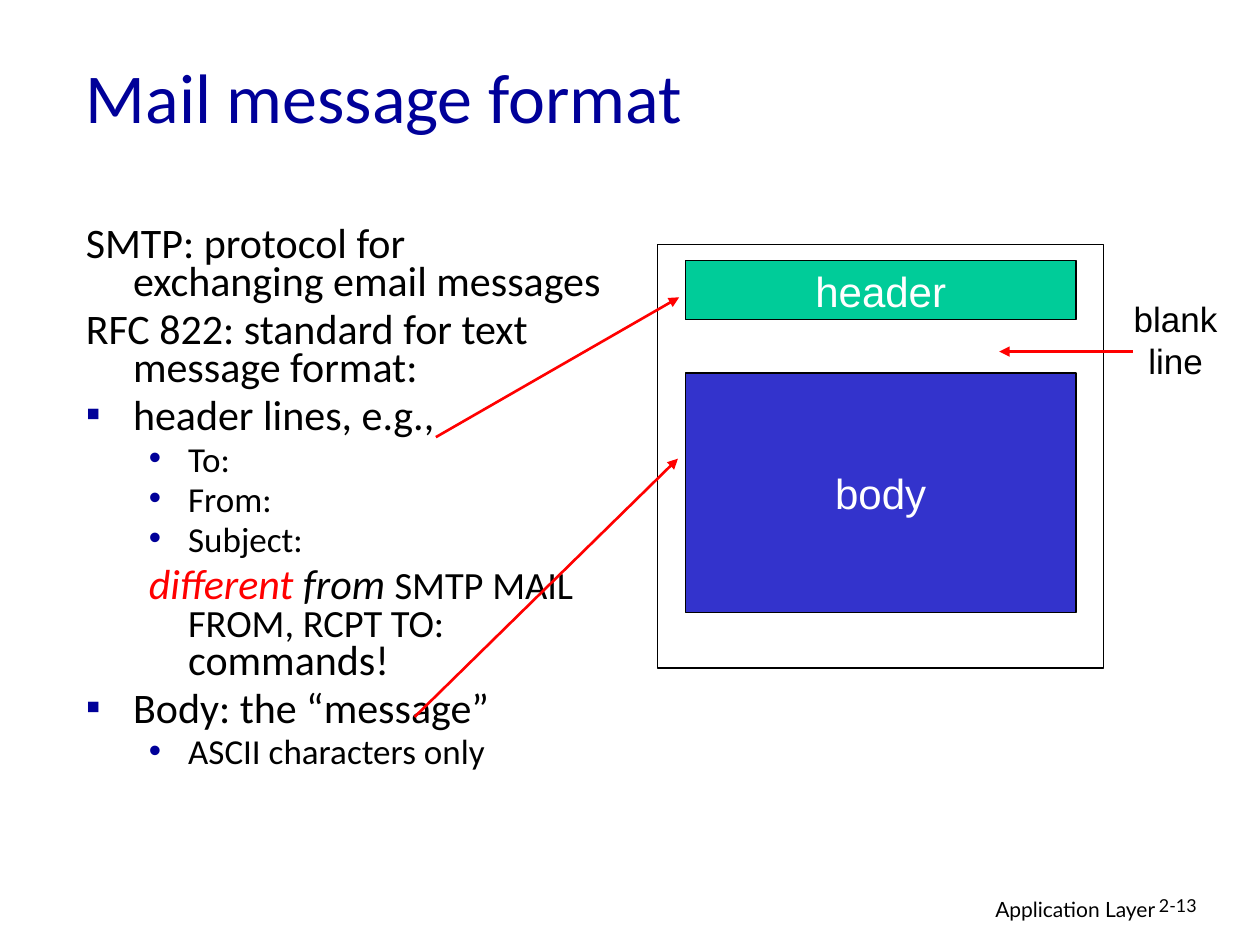
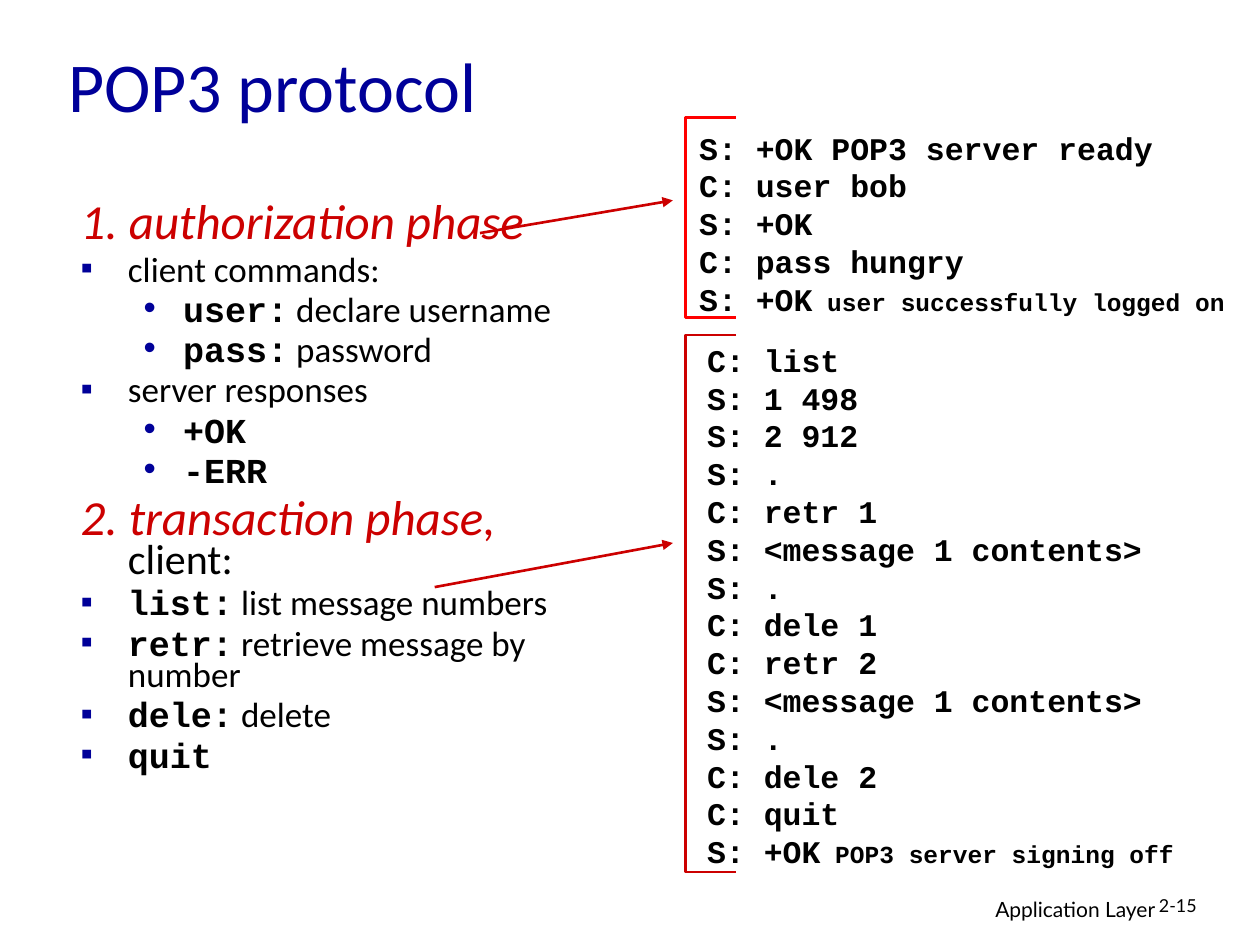
from dataclasses import dataclass
from typing import Optional

from lxml.etree import SubElement
from pptx import Presentation
from pptx.dml.color import RGBColor
from pptx.enum.shapes import MSO_CONNECTOR as CONN, MSO_SHAPE as SHAPE
from pptx.enum.text import MSO_ANCHOR as ANCHOR, MSO_AUTO_SIZE as AUTO, PP_ALIGN as ALIGN
from pptx.oxml.ns import qn
from pptx.util import Pt

NAVY, BLACK, WHITE = "000099", "000000", "FFFFFF"
RED, CRIMSON, GREEN, BLUE = "FF0000", "CC0000", "00CC99", "3333CC"
SANS, MONO, BOX_FONT, FOOTER_FONT = "Calibri", "Courier New", "Arial", "Lato"
INSETS = (7.2, 3.6, 7.2, 3.6)
DIALOG_PITCH = 21.6


@dataclass(frozen=True)
class Run:
    text: str
    size: float = 20
    color: str = BLACK
    font: str = SANS
    bold: bool = False
    italic: bool = False


@dataclass(frozen=True)
class Level:
    depth: int
    margin: float
    hang: float
    bullet: Optional[str] = None


@dataclass(frozen=True)
class Item:
    level: Level
    runs: tuple[Run, ...]
    before: float = 5


@dataclass(frozen=True)
class Box:
    left: float
    top: float
    width: float
    height: float

    def lengths(self) -> tuple:
        return Pt(self.left), Pt(self.top), Pt(self.width), Pt(self.height)


@dataclass(frozen=True)
class Arrow:
    start: tuple[float, float]
    end: tuple[float, float]
    color: str


@dataclass(frozen=True)
class Bracket:
    top: float
    bottom: float
    color: str
    left: float = 391.7
    arm: float = 29


PLAIN = Level(0, 27, -27)
SQUARE = Level(0, 27, -27, "▪")
DOT = Level(1, 58.5, -22.5, "•")
SUBTEXT = Level(1, 58.5, -22.5)


def rgb(color: str) -> RGBColor:
    return RGBColor.from_string(color)


def code(text: str, size: float = 20) -> Run:
    return Run(text, size, font=MONO, bold=True)


def command(level: Level, name: str, meaning: str = "") -> Item:
    runs = (code(name), Run(f" {meaning}")) if meaning else (code(name),)
    return Item(level, runs)


def add_run(p, run: Run) -> None:
    r = p.add_run()
    r.text = run.text
    f = r.font
    f.name, f.size, f.bold, f.italic = run.font, Pt(run.size), run.bold, run.italic
    f.color.rgb = rgb(run.color)


def format_frame(tf, anchor=ANCHOR.TOP) -> None:
    tf.auto_size = AUTO.NONE
    tf.word_wrap = True
    tf.vertical_anchor = anchor
    tf.margin_left, tf.margin_top, tf.margin_right, tf.margin_bottom = map(Pt, INSETS)


def write_lines(tf, lines: list[tuple[Run, ...]], align=ALIGN.LEFT, spacing=None) -> None:
    for i, runs in enumerate(lines):
        p = tf.add_paragraph() if i else tf.paragraphs[0]
        p.alignment = align
        p.line_spacing = spacing
        for run in runs:
            add_run(p, run)


def add_text(slide, box: Box, lines: list[tuple[Run, ...]], align=ALIGN.LEFT, spacing=None) -> None:
    tf = slide.shapes.add_textbox(*box.lengths()).text_frame
    format_frame(tf)
    write_lines(tf, lines, align, spacing)


def place(sp, box: Box) -> None:
    sp.left, sp.top, sp.width, sp.height = box.lengths()


def format_level(p, level: Level) -> None:
    p.level = level.depth
    pPr = p._p.get_or_add_pPr()
    pPr.set("marL", str(Pt(level.margin)))
    pPr.set("indent", str(Pt(level.hang)))
    if level.bullet is None:
        SubElement(pPr, qn("a:buNone"))
        return
    SubElement(SubElement(pPr, qn("a:buClr")), qn("a:srgbClr"), val=NAVY)
    SubElement(pPr, qn("a:buFont"), typeface=BOX_FONT)
    SubElement(pPr, qn("a:buChar"), char=level.bullet)


def fill_list(sp, box: Box, items: list[Item]) -> None:
    place(sp, box)
    tf = sp.text_frame
    format_frame(tf)
    for i, item in enumerate(items):
        p = tf.add_paragraph() if i else tf.paragraphs[0]
        p.alignment = ALIGN.LEFT
        p.line_spacing = 0.75
        p.space_before = Pt(item.before)
        format_level(p, item.level)
        for run in item.runs:
            add_run(p, run)


def add_page(prs, title: str, title_box: Box, body_box: Box, items: list[Item], number: str):
    slide = prs.slides.add_slide(prs.slide_layouts[1])
    add_text(slide, Box(439.2, 509, 228.2, 22.3), [(Run("Application Layer", 12, font=FOOTER_FONT),)],
             ALIGN.RIGHT)
    add_text(slide, Box(655.2, 509, 53.3, 21.6), [(Run(number, 10.2, font=FOOTER_FONT),)], spacing=0.9)
    sp = slide.shapes.title
    place(sp, title_box)
    format_frame(sp.text_frame, ANCHOR.MIDDLE)
    write_lines(sp.text_frame, [(Run(title, 40, NAVY),)])
    fill_list(slide.placeholders[1], body_box, items)
    return slide


def add_rect(slide, box: Box, weight: float, fill: Optional[str] = None, label: str = "") -> None:
    sp = slide.shapes.add_shape(SHAPE.RECTANGLE, *box.lengths())
    sp.shadow.inherit = False
    sp.line.color.rgb = rgb(BLACK)
    sp.line.width = Pt(weight)
    if fill:
        sp.fill.solid()
        sp.fill.fore_color.rgb = rgb(fill)
    else:
        sp.fill.background()
    if label:
        format_frame(sp.text_frame, ANCHOR.MIDDLE)
        write_lines(sp.text_frame, [(Run(label, 24, WHITE, BOX_FONT),)], ALIGN.CENTER)


def add_arrow(slide, arrow: Arrow) -> None:
    c = slide.shapes.add_connector(CONN.STRAIGHT, *map(Pt, arrow.start + arrow.end))
    c.line.color.rgb = rgb(arrow.color)
    c.line.width = Pt(1.5)
    SubElement(c.line._get_or_add_ln(), qn("a:tailEnd"), type="triangle")
    SubElement(c._element.spPr, qn("a:effectLst"))


def add_bracket(slide, b: Bracket) -> None:
    right = Pt(b.left + b.arm)
    builder = slide.shapes.build_freeform(right, Pt(b.top), scale=1.0)
    builder.add_line_segments(
        [(Pt(b.left), Pt(b.top)), (Pt(b.left), Pt(b.bottom)), (right, Pt(b.bottom))], close=False)
    sp = builder.convert_to_shape()
    sp.shadow.inherit = False
    sp.fill.background()
    sp.line.color.rgb = rgb(b.color)
    sp.line.width = Pt(1.5)


def add_dialog(slide, box: Box, lines: list[str], last: tuple[str, str]) -> None:
    rows = [(code(line, 18),) for line in lines]
    rows.append((code(last[0], 18), code(f" {last[1]}", 14)))
    add_text(slide, box, rows, spacing=Pt(DIALOG_PITCH))


def build_mail_format(prs) -> None:
    items = [
        Item(PLAIN, (Run("SMTP: protocol for exchanging email messages", 24),), 6),
        Item(PLAIN, (Run("RFC 822: standard for text message format:", 24),), 6),
        Item(SQUARE, (Run("header lines, e.g.,", 24),), 6),
        *[Item(DOT, (Run(field),)) for field in ("To:", "From:", "Subject:")],
        Item(SUBTEXT, (Run("different ", 24, RED, italic=True), Run("from ", 24, italic=True),
                       Run("SMTP MAIL FROM, RCPT TO:", 22), Run(" commands!", 24)), 6),
        Item(SQUARE, (Run("Body: the “message”", 24),), 6),
        Item(DOT, (Run("ASCII characters only"),)),
    ]
    slide = add_page(prs, "Mail message format", Box(41.8, 9.4, 612, 90),
                     Box(41.8, 126.7, 308.9, 365.8), items, "2-13")
    add_rect(slide, Box(391.7, 149, 223.2, 33.8), 0.75, GREEN, "header")
    add_rect(slide, Box(391.7, 213.1, 223.2, 136.8), 0.75, BLUE, "body")
    add_rect(slide, Box(375.8, 139.7, 254.9, 241.9), 1)
    add_text(slide, Box(635.8, 166.3, 72, 55.4),
             [(Run(word, 20, font=BOX_FONT),) for word in ("blank", "line")], ALIGN.CENTER)
    for start, end in (((249.1, 249.8), (388.1, 169.9)),
                       ((236.9, 409.7), (387.4, 262.1)),
                       ((647.3, 200.9), (571, 200.9))):
        add_arrow(slide, Arrow(start, end, RED))


def build_pop3(prs) -> None:
    items = [
        Item(PLAIN, (Run("1. authorization phase", 28, CRIMSON, italic=True),), 7),
        Item(SQUARE, (Run("client commands:"),)),
        command(DOT, "user:", "declare username"),
        command(DOT, "pass:", "password"),
        Item(SQUARE, (Run("server responses"),)),
        command(DOT, "+OK"),
        command(DOT, "-ERR"),
        Item(PLAIN, (Run("2. transaction phase,", 28, CRIMSON, italic=True), Run(" client:", 24)), 6),
        command(SQUARE, "list:", "list message numbers"),
        command(SQUARE, "retr:", "retrieve message by number"),
        command(SQUARE, "dele:", "delete"),
        command(SQUARE, "quit"),
    ]
    slide = add_page(prs, "POP3 protocol", Box(31.7, 10.1, 612, 76.3),
                     Box(38.9, 113, 312.5, 365.8), items, "2-15")
    message = ["S: <message 1 contents>", "S: ."]
    add_dialog(slide, Box(397, 191.2, 310, 309.6),
               ["C: list", "S: 1 498", "S: 2 912", "S: .", "C: retr 1", *message,
                "C: dele 1", "C: retr 2", *message, "C: dele 2", "C: quit"],
               ("S: +OK", "POP3 server signing off"))
    add_dialog(slide, Box(392.4, 70, 326, 115.2),
               ["S: +OK POP3 server ready", "C: user bob", "S: +OK", "C: pass hungry"],
               ("S: +OK", "user successfully logged on"))
    for bracket in (Bracket(67, 181.4, RED), Bracket(191.5, 498.2, CRIMSON)):
        add_bracket(slide, bracket)
    for start, end in (((274.3, 133.2), (384.5, 114.5)), ((248.4, 335.5), (384.5, 310.3))):
        add_arrow(slide, Arrow(start, end, CRIMSON))


def main() -> None:
    prs = Presentation()
    prs.slide_width, prs.slide_height = Pt(720), Pt(540)
    build_mail_format(prs)
    build_pop3(prs)
    prs.save("out.pptx")


if __name__ == "__main__":
    main()
